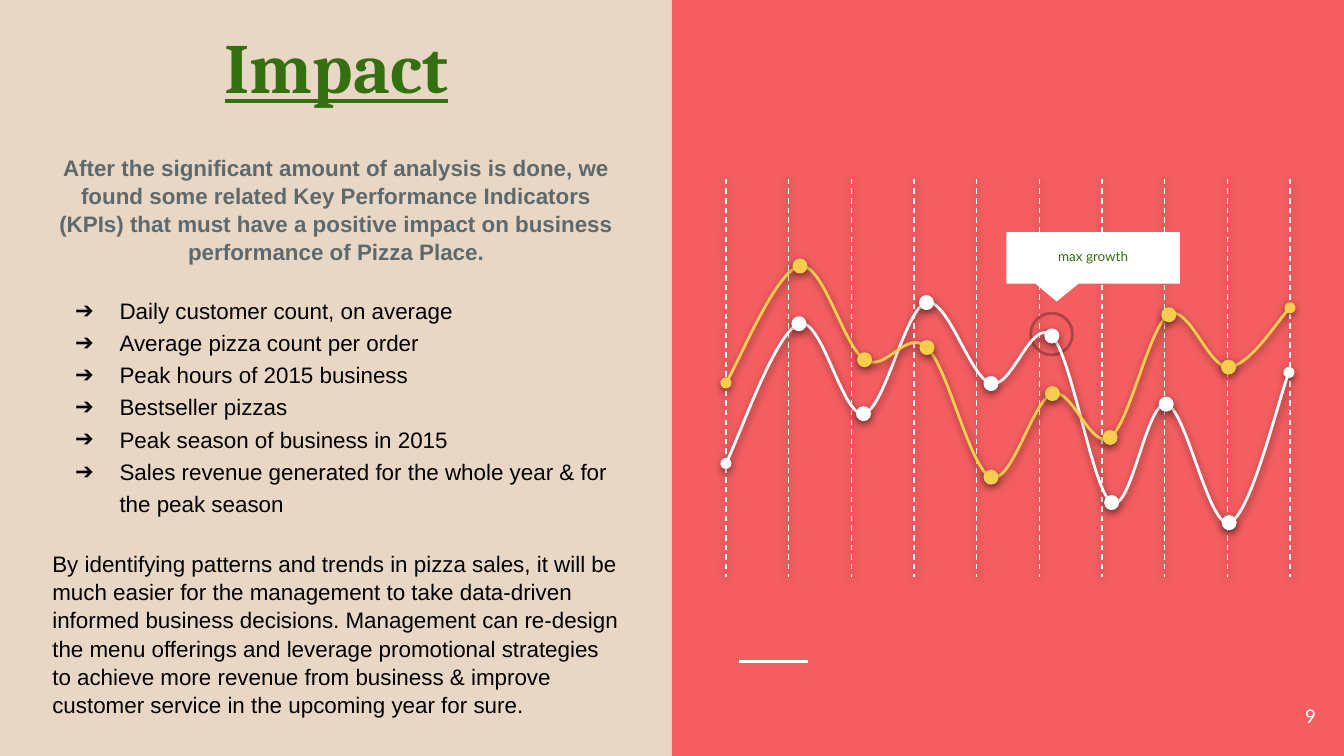
from dataclasses import dataclass, field
from typing import Any, NamedTuple

from lxml import etree
from pptx import Presentation
from pptx import util as u
from pptx.dml.color import RGBColor
from pptx.enum import dml, shapes, text
from pptx.oxml import ns


@dataclass(frozen=True)
class Theme:
    sand: str = "E9D7C5"
    coral: str = "F55E61"
    ring: str = "AF4345"
    green: str = "346F10"
    slate: str = "5E696C"
    black: str = "000000"
    white: str = "FFFFFF"
    gold: str = "F6CD4C"
    title: float = 37.8
    body: float = 12
    page: float = 10
    label: float = 7.2
    thin: float = 0.75
    thick: float = 1.5


class Box(NamedTuple):
    left: float
    top: float
    width: float
    height: float


class Spot(NamedTuple):
    x: float
    y: float


@dataclass
class Para:
    words: str
    size: float
    color: str
    face: str = "Arial"
    font: dict[str, Any] = field(default_factory=dict)
    form: dict[str, Any] = field(default_factory=dict)
    bullet: bool = False


T = Theme()
DOT = 0.23
MID, RIGHT = text.PP_ALIGN.CENTER, text.PP_ALIGN.RIGHT
ANCHOR = text.MSO_ANCHOR


def apply(target: Any, values: dict[str, Any]) -> None:
    for name, value in values.items():
        setattr(target, name, value)


def rgb(color: str) -> RGBColor:
    return RGBColor.from_string(color)


def add(parent: Any, tag: str, **attrs: Any) -> Any:
    node = etree.SubElement(parent, ns.qn(tag))
    for name, value in attrs.items():
        node.set(name, str(value))
    return node


def shade(parent: Any, blur: float, drop: float) -> Any:
    effect = add(parent, "a:effectLst")
    outer = add(effect, "a:outerShdw", blurRad=u.Pt(blur), dist=u.Pt(drop),
                dir=5400000, algn="bl", rotWithShape=0)
    tone = add(outer, "a:srgbClr", val=T.black)
    add(tone, "a:alpha", val=50000)
    return effect


def stroke(line: Any, color: str, width: float) -> None:
    line.color.rgb = rgb(color)
    line.width = u.Pt(width)


def rule(tree: Any, start: Spot, end: Spot, width: float, dash: bool = False) -> None:
    line = tree.add_connector(shapes.MSO_CONNECTOR.STRAIGHT, *map(u.Cm, start + end))
    stroke(line.line, T.white, width)
    if dash:
        line.line.dash_style = dml.MSO_LINE.DASH
        shade(line._element.spPr, 4.5, 1.5)
    else:
        add(line._element.spPr, "a:effectLst")


def block(tree: Any, kind: Any, box: Box, fill: str = "", edge: str = "",
          soft: bool = False) -> Any:
    shape = tree.add_shape(kind, *map(u.Cm, box))
    if fill:
        shape.fill.solid()
        shape.fill.fore_color.rgb = rgb(fill)
    else:
        shape.fill.background()
    if edge:
        stroke(shape.line, edge, T.thick)
    else:
        shape.line.fill.background()
    if soft:
        shade(shape._element.spPr, 4.5, 1.5)
    else:
        shape.shadow.inherit = False
    return shape


def bend(knots: list[Spot]) -> list[Spot]:
    ends = [knots[0], *knots, knots[-1]]
    out = []
    for a, b, c, d in zip(ends, ends[1:], ends[2:], ends[3:]):
        out += [Spot(b.x + (c.x - a.x) / 6, b.y + (c.y - a.y) / 6),
                Spot(c.x - (d.x - b.x) / 6, c.y - (d.y - b.y) / 6), c]
    return out


def curve(tree: Any, knots: list[Spot], color: str) -> None:
    group = tree.add_group_shape().shapes
    pen = group.build_freeform(u.Cm(knots[0].x), u.Cm(knots[0].y))
    pen.add_line_segments([(u.Cm(s.x), u.Cm(s.y)) for s in bend(knots)], close=False)
    wave = pen.convert_to_shape()
    wave.fill.background()
    stroke(wave.line, color, T.thick)
    props = wave._element.spPr
    steps = list(props.iter(ns.qn("a:lnTo")))
    for i in range(0, len(steps), 3):
        cubic = add(steps[i].getparent(), "a:cubicBezTo")
        for step in steps[i:i + 3]:
            cubic.append(step[0])
            step.getparent().remove(step)
    for tag in ("a:headEnd", "a:tailEnd"):
        add(props.find(ns.qn("a:ln")), tag, type="oval", w="med", len="med")
    shade(props, 4.5, 1.5)
    for s in knots[1:-1]:
        box = Box(s.x - DOT / 2, s.y - DOT / 2, DOT, DOT)
        block(group, shapes.MSO_SHAPE.OVAL, box, color, color, True)


def write(tree: Any, box: Box, paras: list[Para], anchor: Any) -> Any:
    frame = tree.add_textbox(*map(u.Cm, box)).text_frame
    sides = ("margin_left", "margin_top", "margin_right", "margin_bottom")
    apply(frame, dict.fromkeys(sides, u.Cm(0.25))
          | {"word_wrap": True, "vertical_anchor": anchor})
    for i, item in enumerate(paras):
        para = frame.add_paragraph() if i else frame.paragraphs[0]
        apply(para, item.form)
        run = para.add_run()
        run.text = item.words
        apply(run.font, {"size": u.Pt(item.size), "name": item.face} | item.font)
        run.font.color.rgb = rgb(item.color)
        if item.bullet:
            props = para._p.get_or_add_pPr()
            props.set("marL", str(u.Cm(1.27)))
            props.set("indent", str(u.Cm(-0.84)))
            add(add(props, "a:buClr"), "a:srgbClr", val=item.color)
            add(props, "a:buFont", typeface=item.face)
            add(props, "a:buChar", char="➔")
    return frame


INTRO = ("After the significant amount of analysis is done, we found some related "
         "Key Performance Indicators (KPIs) that must have a positive impact on "
         "business performance of Pizza Place.")
POINTS = ["Daily customer count, on average", "Average pizza count per order",
          "Peak hours of 2015 business", "Bestseller pizzas",
          "Peak season of business in 2015",
          "Sales revenue generated for the whole year & for the peak season"]
CLOSE = ("By identifying patterns and trends in pizza sales, it will be much easier "
         "for the management to take data-driven informed business decisions. "
         "Management can re-design the menu offerings and leverage promotional "
         "strategies to achieve more revenue from business & improve customer "
         "service in the upcoming year for sure.")
WHITE = [Spot(13.72, 8.76), Spot(15.1, 6.12), Spot(16.32, 7.82), Spot(17.51, 5.72),
         Spot(18.73, 7.25), Spot(19.88, 6.35), Spot(21.01, 9.5), Spot(22.04, 7.64),
         Spot(23.23, 9.88), Spot(24.36, 7.04)]
GOLD = [Spot(13.72, 7.24), Spot(15.12, 5.03), Spot(16.34, 6.8), Spot(17.52, 6.57),
        Spot(18.73, 9.02), Spot(19.89, 7.44), Spot(20.98, 8.27), Spot(22.09, 5.95),
        Spot(23.22, 6.94), Spot(24.38, 5.82)]


def main() -> None:
    deck = Presentation()
    apply(deck, {"slide_width": u.Cm(25.4), "slide_height": u.Cm(14.29)})
    slide = deck.slides.add_slide(deck.slide_layouts[6])
    back = slide.background.fill
    back.solid()
    back.fore_color.rgb = rgb(T.sand)
    tree = slide.shapes
    block(tree, shapes.MSO_SHAPE.RECTANGLE, Box(12.7, 0, 12.7, 14.29), T.coral)
    rule(tree, Spot(13.97, 12.5), Spot(15.27, 12.5), T.thick)

    grid = tree.add_group_shape().shapes
    for i in range(10):
        x = 13.72 + i * (24.38 - 13.72) / 9
        rule(grid, Spot(x, 3.38), Spot(x, 10.9), T.thin, True)
    block(tree, shapes.MSO_SHAPE.OVAL, Box(19.48, 5.92, 0.79, 0.79), edge=T.ring)

    head = Para("Impact", T.title, T.green, "Cambria",
                {"bold": True, "underline": True}, {"alignment": MID})
    frame = write(tree, Box(0.74, 0.36, 11.23, 1.93), [head], ANCHOR.BOTTOM)
    props = frame.paragraphs[0].runs[0].font._element
    props.find(ns.qn("a:solidFill")).addnext(shade(props, 3, 3))

    body = [Para(INTRO, T.body, T.slate, font={"bold": True},
                 form={"alignment": MID, "line_spacing": 1.04})]
    body += [Para(p, T.body, T.black, bullet=True,
                  form={"line_spacing": 1.2, "space_before": u.Pt(0 if i else 14.4)})
             for i, p in enumerate(POINTS)]
    body.append(Para(CLOSE, T.body, T.black,
                     form={"line_spacing": 1.05, "space_before": u.Pt(17)}))
    write(tree, Box(0.74, 2.64, 11.23, 11.18), body, ANCHOR.TOP)

    curve(tree, WHITE, T.white)
    flag = block(tree, shapes.MSO_SHAPE.ROUNDED_RECTANGULAR_CALLOUT,
                 Box(19.02, 4.39, 3.28, 0.97), T.white)
    for i, value in enumerate((-0.21, 0.85, 0)):
        flag.adjustments[i] = value
    curve(tree, GOLD, T.gold)
    note = Para("max growth", T.label, T.green, "Lato",
                form={"alignment": MID, "line_spacing": 0.95})
    write(tree, Box(19.02, 4.47, 3.28, 0.79), [note], ANCHOR.MIDDLE)
    page = Para("9", T.page, T.white, "Lato", form={"alignment": RIGHT})
    write(tree, Box(23.6, 13, 1.52, 1.09), [page], ANCHOR.MIDDLE)
    deck.save("out.pptx")


if __name__ == "__main__":
    main()
